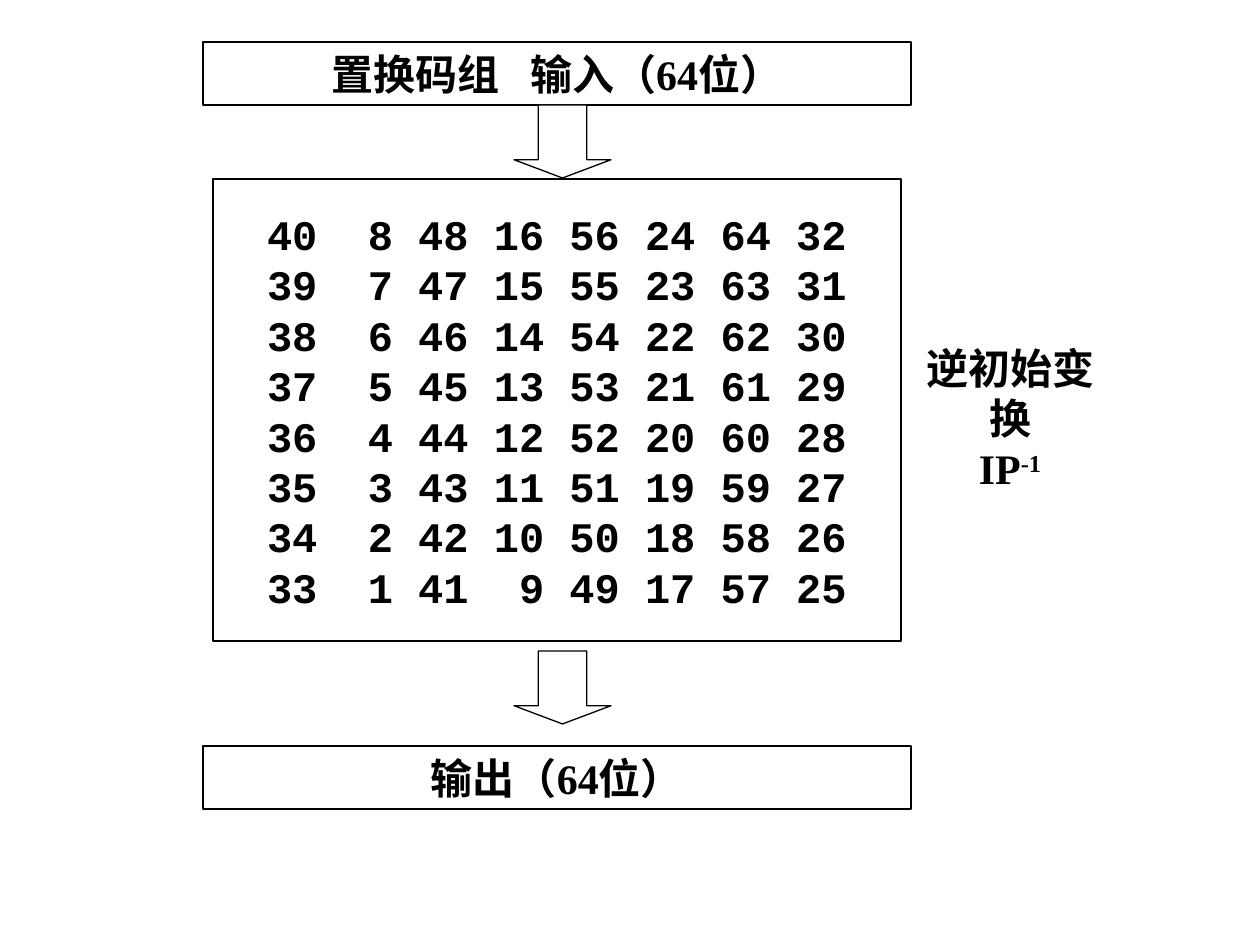
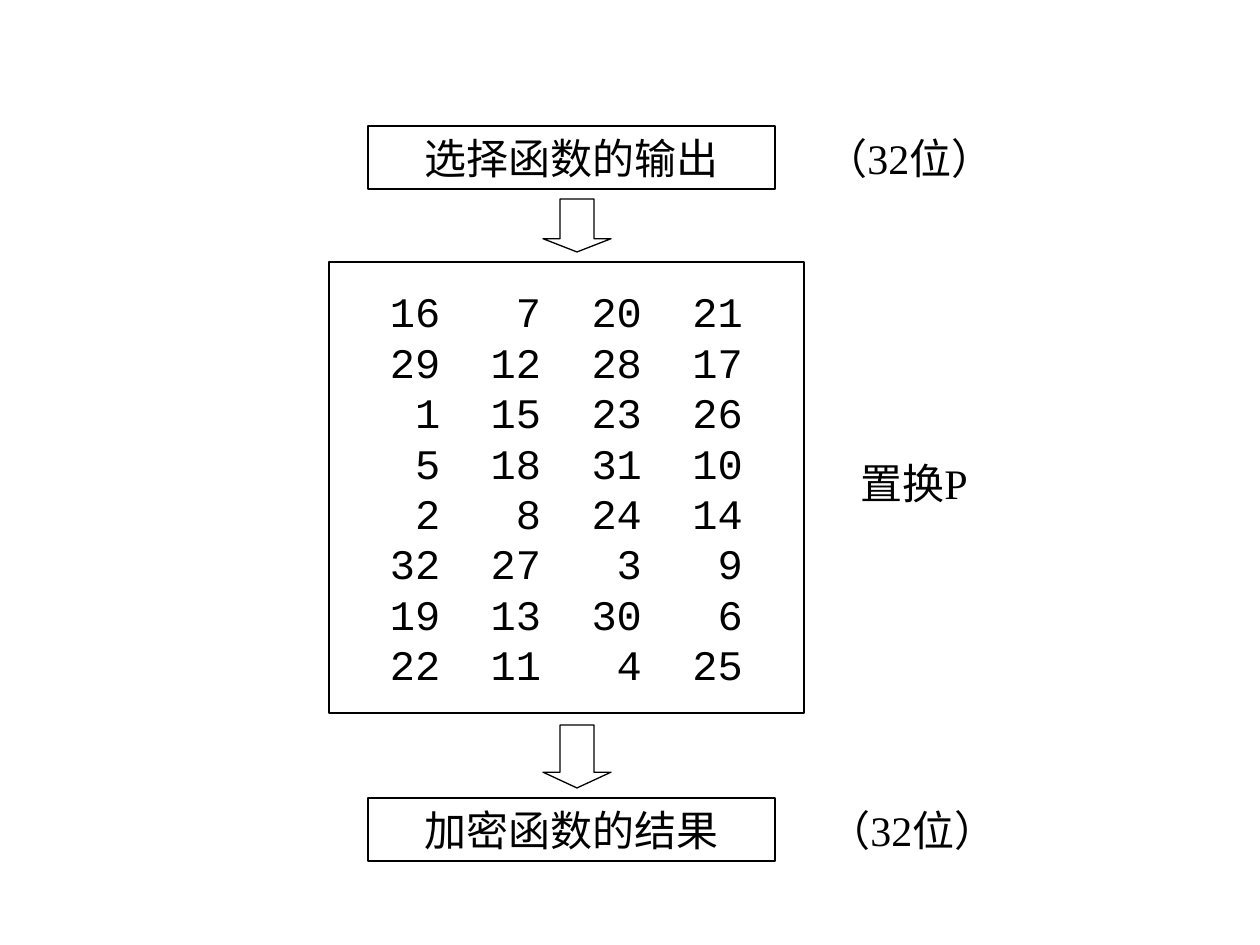
from lxml import etree
from pptx import Presentation
from pptx import util as u
from pptx.dml.color import RGBColor
from pptx.enum import shapes, text
from pptx.oxml.ns import qn

PX = 914400 / 126
INK, PAPER = "000000", "FFFFFF"
SERIF, MONO = "Times New Roman", "Courier New"
CHAR = 25.2
INSET = 12.6


def rgb(value):
    return RGBColor.from_string(value)


def add_item(s, kind, box, lines=(), bold=False, font=SERIF, step=0):
    left, top, width, height = [round(v * PX) for v in box]
    if kind is None:
        sp = s.shapes.add_textbox(left, top, width, height)
    else:
        sp = s.shapes.add_shape(kind, left, top, width, height)
        sp.shadow.inherit = False
        sp.fill.solid()
        sp.fill.fore_color.rgb = rgb(PAPER)
        sp.line.color.rgb = rgb(INK)
        sp.line.width = u.Pt(0.75)
    tf = sp.text_frame
    tf.word_wrap = step > 0
    tf.vertical_anchor = text.MSO_ANCHOR.TOP if kind is None else text.MSO_ANCHOR.MIDDLE
    tf.text = "\n".join(lines)
    for p, line in zip(tf.paragraphs, lines):
        p.alignment = text.PP_ALIGN.LEFT if step else text.PP_ALIGN.CENTER
        if step:
            cols = line.count("\t")
            grid = (cols - 1) * step + 2 * CHAR
            last = (box[2] + grid) / 2 - INSET
            tabs = etree.SubElement(p._p.get_or_add_pPr(), qn("a:tabLst"))
            for c in range(cols):
                pos = round((last - (cols - 1 - c) * step) * PX)
                etree.SubElement(tabs, qn("a:tab"), pos=str(pos), algn="r")
        for r in p.runs:
            r.font.size = u.Pt(24)
            r.font.name = font
            r.font.bold = bold
            r.font.color.rgb = rgb(INK)
    return sp


prs = Presentation()
prs.slide_width, prs.slide_height = u.Inches(10), u.Inches(7.5)
RECT, ARROW = shapes.MSO_SHAPE.RECTANGLE, shapes.MSO_SHAPE.DOWN_ARROW

inverse_rows = [[40 - i, 8 - i, 48 - i, 16 - i, 56 - i, 24 - i, 64 - i, 32 - i]
                for i in range(8)]
p_rows = [
    [16, 7, 20, 21], [29, 12, 28, 17], [1, 15, 23, 26], [5, 18, 31, 10],
    [2, 8, 24, 14], [32, 27, 3, 9], [19, 13, 30, 6], [22, 11, 4, 25],
]

slides = [
    dict(bold=True, rows=inverse_rows, step=3 * CHAR, grid=(213, 179, 688, 462),
         boxes=[((203, 42, 708, 63), ["置换码组", "输入（64位）"]),
                ((203, 746, 708, 63), ["输出（64位）"])],
         arrows=[(514, 105, 97, 73), (514, 651, 97, 73)],
         labels=[((893, 336, 234, 113), ["逆初始变换", "IP"])]),
    dict(bold=False, rows=p_rows, step=4 * CHAR, grid=(329, 262, 475, 451),
         boxes=[((368, 126, 407, 63), ["选择函数的输出"]),
                ((368, 798, 407, 63), ["加密函数的结果"])],
         arrows=[(543, 199, 68, 53), (543, 725, 68, 63)],
         labels=[((803, 126, 213, 63), ["（32位）"]),
                 ((843, 451, 142, 63), ["置换P"]),
                 ((806, 798, 213, 63), ["（32位）"])]),
]

for d in slides:
    s = prs.slides.add_slide(prs.slide_layouts[6])
    bold = d["bold"]
    for box, words in d["boxes"]:
        sp = add_item(s, RECT, box, [" ".join(words)], bold)
        if len(words) > 1:
            p = sp.text_frame.paragraphs[0]
            first = p.runs[0]
            first.text = words[0]
            for piece in (" ", words[1]):
                r = p.add_run()
                r.text = piece
                r.font.size, r.font.name, r.font.bold = u.Pt(24), SERIF, bold
                r.font.color.rgb = rgb(INK)
            p.runs[1]._r.get_or_add_rPr().set("spc", "1200")
    lines = ["".join(f"\t{n}" for n in row) for row in d["rows"]]
    add_item(s, RECT, d["grid"], lines, bold, MONO, d["step"])
    for box in d["arrows"]:
        sp = add_item(s, ARROW, box)
        sp.adjustments[0], sp.adjustments[1] = 0.5, 0.25
    for box, words in d["labels"]:
        sp = add_item(s, None, box, words, bold)
        if words[-1] == "IP":
            r = sp.text_frame.paragraphs[-1].add_run()
            r.text = "-1"
            r.font.size, r.font.name, r.font.bold = u.Pt(24), SERIF, bold
            r.font.color.rgb = rgb(INK)
            r._r.get_or_add_rPr().set("baseline", "30000")

prs.save("out.pptx")
